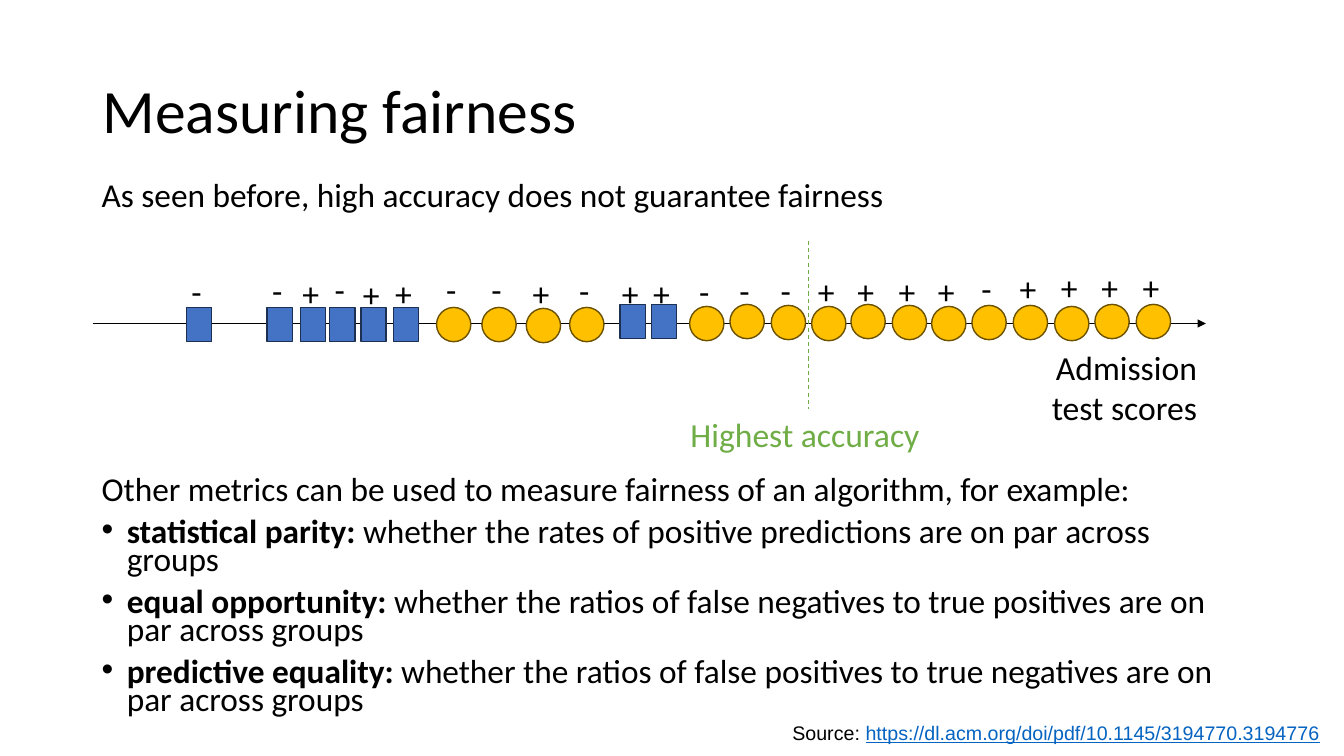
import dataclasses

import lxml.etree
import pptx
import pptx.dml.color
import pptx.enum.dml
import pptx.enum.shapes
import pptx.enum.text
import pptx.oxml.ns
import pptx.util

Inches = pptx.util.Inches
Pt = pptx.util.Pt
ALIGN = pptx.enum.text.PP_ALIGN
SHAPE = pptx.enum.shapes.MSO_SHAPE


@dataclasses.dataclass(frozen=True)
class Theme:
    text: str = "000000"
    accent: str = "70AD47"
    link: str = "0563C1"
    square: tuple = ("4472C4", "1C3052")
    circle: tuple = ("FFC000", "6B5100")
    font: str = "Calibri"
    source_font: str = "Arial"
    title_size: float = 44
    body_size: float = 23.8
    label_size: float = 24
    source_size: float = 14


THEME = Theme()

METRICS = [
    ("statistical parity: ",
     "whether the rates of positive predictions are on par across groups"),
    ("equal opportunity: ",
     "whether the ratios of false negatives to true positives are on par across groups"),
    ("predictive equality: ",
     "whether the ratios of false positives to true negatives are on par across groups"),
]

# Applicants by score: group, left, top, outcome, top of outcome sign
# (lengths in inches from the top left of the score axis region)
APPLICANTS = [
    ("square", 0.93, 0.66, "-", 0.25), ("square", 1.73, 0.66, "-", 0.24),
    ("square", 2.06, 0.66, "+", 0.27), ("square", 2.35, 0.66, "-", 0.23),
    ("square", 2.66, 0.66, "+", 0.28), ("square", 2.98, 0.66, "+", 0.27),
    ("circle", 3.41, 0.66, "-", 0.23), ("circle", 3.86, 0.66, "-", 0.23),
    ("circle", 4.30, 0.67, "+", 0.27), ("circle", 4.73, 0.66, "-", 0.24),
    ("square", 5.23, 0.63, "+", 0.27), ("square", 5.54, 0.63, "+", 0.27),
    ("circle", 5.92, 0.65, "-", 0.25), ("circle", 6.32, 0.63, "-", 0.24),
    ("circle", 6.73, 0.64, "-", 0.24), ("circle", 7.13, 0.65, "+", 0.25),
    ("circle", 7.52, 0.63, "+", 0.25), ("circle", 7.93, 0.64, "+", 0.25),
    ("circle", 8.32, 0.65, "+", 0.25), ("circle", 8.72, 0.64, "-", 0.22),
    ("circle", 9.13, 0.64, "+", 0.22), ("circle", 9.54, 0.65, "+", 0.21),
    ("circle", 9.94, 0.63, "+", 0.21), ("circle", 10.35, 0.63, "+", 0.21),
]
MARKERS = {
    "square": (SHAPE.RECTANGLE, 0.25, THEME.square),
    "circle": (SHAPE.OVAL, 0.34, THEME.circle),
}
MARKER_HEIGHT = 0.34
SIGN_WIDTHS = {"+": 0.37, "-": 0.31}


def color(value):
    return pptx.dml.color.RGBColor.from_string(value)


def style_font(font, size, value=THEME.text, name=THEME.font):
    font.size, font.name = Pt(size), name
    font.color.rgb = color(value)


def add_box(page, left, top, width, height):
    box = page.shapes.add_textbox(Inches(left), Inches(top), Inches(width), Inches(height))
    box.text_frame.word_wrap = True
    return box.text_frame


def add_label(page, left, top, width, height, text, size=THEME.label_size,
              value=THEME.text, align=ALIGN.LEFT):
    frame = add_box(page, left, top, width, height)
    para = frame.paragraphs[0]
    para.text, para.alignment = text, align
    style_font(para.font, size, value)
    return frame


def add_line(page, start, end, value, width):
    line = page.shapes.add_connector(
        pptx.enum.shapes.MSO_CONNECTOR.STRAIGHT, *map(Inches, start + end))
    line.line.color.rgb = color(value)
    line.line.width = Pt(width)
    lxml.etree.SubElement(line._element.spPr, pptx.oxml.ns.qn("a:effectLst"))
    return line


def add_bullet(para):
    properties = para._p.get_or_add_pPr()
    properties.set("marL", str(Inches(0.25)))
    properties.set("indent", str(-Inches(0.25)))
    face = lxml.etree.SubElement(properties, pptx.oxml.ns.qn("a:buFont"))
    face.set("typeface", "Arial")
    bullet = lxml.etree.SubElement(properties, pptx.oxml.ns.qn("a:buChar"))
    bullet.set("char", "•")


def add_title(page, left, top, width, height):
    frame = add_label(page, left, top, width, height, "Measuring fairness", THEME.title_size)
    frame.vertical_anchor = pptx.enum.text.MSO_ANCHOR.MIDDLE
    frame.paragraphs[0].line_spacing = 0.9


def add_body(page, left, top, width, height):
    frame = add_box(page, left, top, width, height)
    frame.text = "As seen before, high accuracy does not guarantee fairness"
    # The second paragraph leaves room for the score axis
    metrics_intro = frame.add_paragraph()
    metrics_intro.text = "Other metrics can be used to measure fairness of an algorithm, for example:"
    metrics_intro.space_before = Pt(190)
    for name, meaning in METRICS:
        para = frame.add_paragraph()
        para.space_before = Pt(10)
        span = para.add_run()
        span.text, span.font.bold = name, True
        para.add_run().text = meaning
        add_bullet(para)
    for para in frame.paragraphs:
        para.line_spacing = 0.7
        style_font(para.font, THEME.body_size)


def add_applicant(page, left, top, group, outcome, sign_top):
    preset, width, (fill, outline) = MARKERS[group]
    marker = page.shapes.add_shape(
        preset, Inches(left), Inches(top), Inches(width), Inches(MARKER_HEIGHT))
    marker.shadow.inherit = False
    marker.fill.solid()
    marker.fill.fore_color.rgb = color(fill)
    marker.line.color.rgb = color(outline)
    marker.line.width = Pt(1)
    # The sign sits over the marker, a touch left of its centre
    sign_width = SIGN_WIDTHS[outcome]
    sign_left = left + (width - sign_width) / 2 - 0.02
    frame = add_label(page, sign_left, sign_top, sign_width, 0.5, outcome)
    frame.word_wrap = False


def add_score_axis(page, left, top, width, height):
    # Axis with arrowhead
    axis_y = top + 0.82
    axis = add_line(page, (left, axis_y), (left + width, axis_y), THEME.text, 1)
    arrow = lxml.etree.SubElement(axis.line._get_or_add_ln(), pptx.oxml.ns.qn("a:tailEnd"))
    arrow.set("type", "triangle")
    add_label(page, left + width - 2.13, top + 1, 2.14, 0.91,
              "Admission test scores", align=ALIGN.RIGHT)

    # Applicants and their outcomes
    for group, x, y, outcome, sign_y in APPLICANTS:
        add_applicant(page, left + x, top + y, group, outcome, top + sign_y)

    # Threshold
    threshold_x, threshold_end = left + 7.1, top + 1.67
    threshold = add_line(page, (threshold_x, top), (threshold_x, threshold_end),
                         THEME.accent, 0.75)
    threshold.line.dash_style = pptx.enum.dml.MSO_LINE.DASH
    add_label(page, threshold_x - 1.27, threshold_end, 2.5, height - 1.67,
              "Highest accuracy", value=THEME.accent)


def add_source(page, left, top, width, height):
    frame = add_box(page, left, top, width, height)
    para = frame.paragraphs[0]
    para.alignment = ALIGN.RIGHT
    para.add_run().text = "Source: "
    address = para.add_run()
    address.text = "https://dl.acm.org/doi/pdf/10.1145/3194770.3194776"
    address.font.color.rgb = color(THEME.link)
    address.font.underline = True
    style_font(para.font, THEME.source_size, name=THEME.source_font)


def main():
    deck = pptx.Presentation()
    deck.slide_width, deck.slide_height = Inches(13.33), Inches(7.5)
    page = deck.slides.add_slide(deck.slide_layouts[6])
    add_title(page, 0.92, 0.4, 11.5, 1.45)
    add_body(page, 0.91, 1.79, 11.5, 5.5)
    add_score_axis(page, 0.92, 2.39, 11.04, 2.17)
    add_source(page, 6.46, 7.1, 6.73, 0.34)
    deck.save("out.pptx")


if __name__ == "__main__":
    main()
